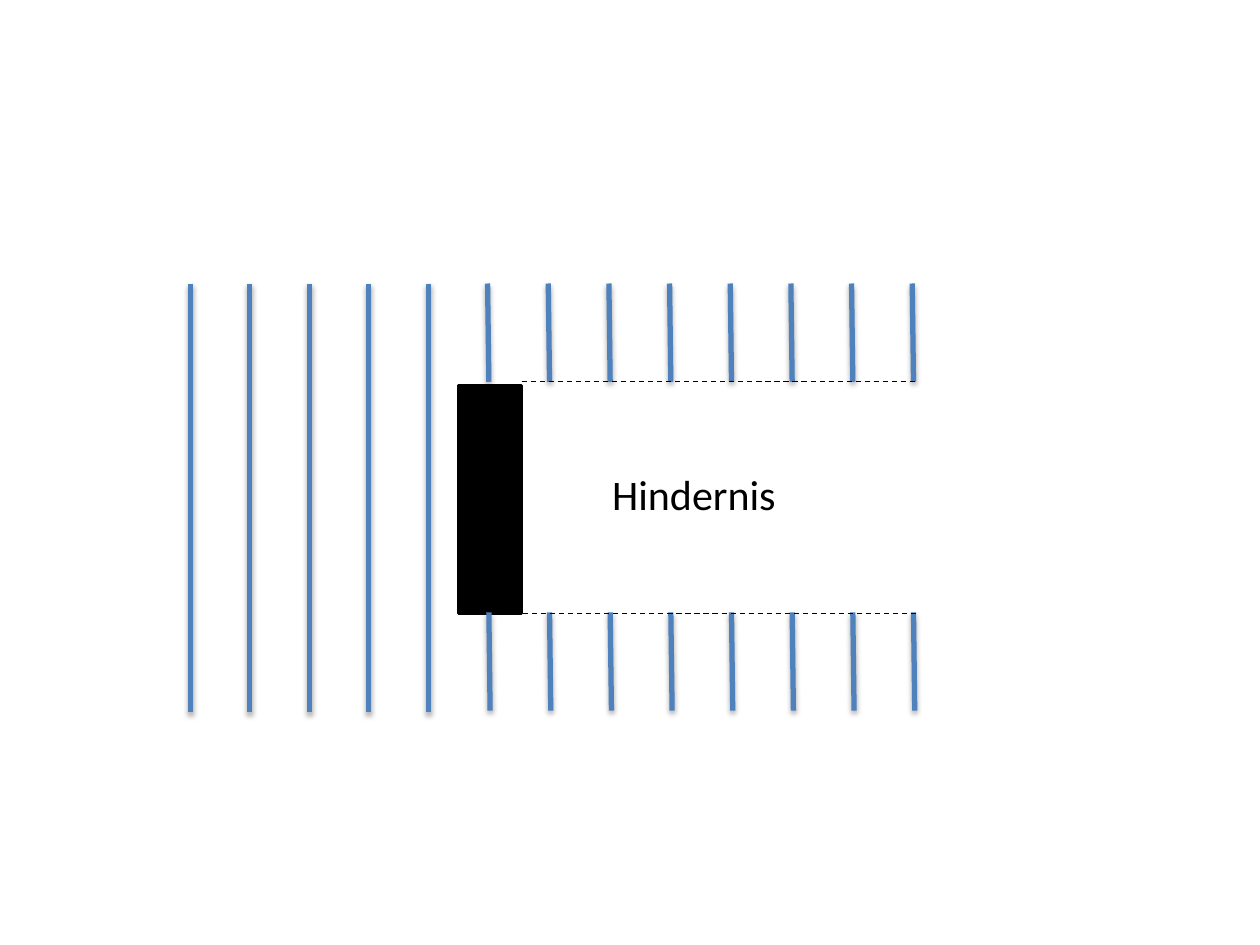
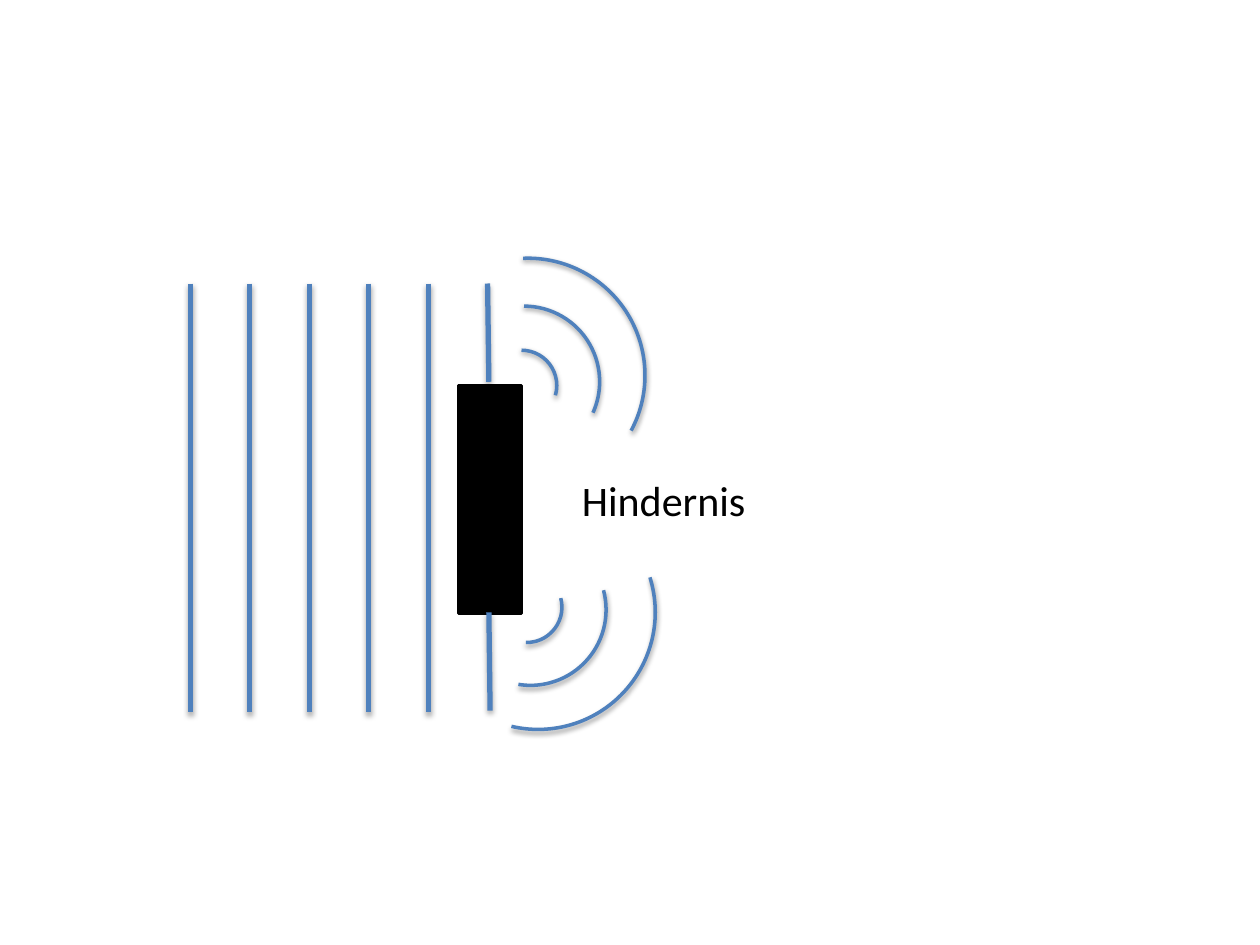
from dataclasses import dataclass

from lxml import etree
from pptx import Presentation
from pptx.dml.color import RGBColor
from pptx.enum.dml import MSO_LINE
from pptx.enum.shapes import MSO_CONNECTOR, MSO_SHAPE
from pptx.enum.text import MSO_AUTO_SIZE
from pptx.oxml.ns import qn
from pptx.shapes.autoshape import Shape
from pptx.shapes.connector import Connector
from pptx.slide import Slide
from pptx.util import Inches, Pt

STRAIGHT = MSO_CONNECTOR.STRAIGHT
RECTANGLE = MSO_SHAPE.RECTANGLE
ARC = MSO_SHAPE.ARC
DASH = MSO_LINE.DASH
FIT_SHAPE = MSO_AUTO_SIZE.SHAPE_TO_FIT_TEXT

COLORS = {"wave": "4F81BD", "obstacle": "000000", "shadow": "000000", "text": "000000"}
FONT = "Calibri"

WAVE_TOP = 2.25
WAVE_BOTTOM = 5.65
FULL_WAVE_COUNT = 5
FULL_WAVE_LEFT = 1.51
FULL_WAVE_STEP = (3.40 - FULL_WAVE_LEFT) / (FULL_WAVE_COUNT - 1)

CUT_WAVE_COUNT = 8
CUT_WAVE_STEP = (7.24 - 3.87) / (CUT_WAVE_COUNT - 1)
CUT_WAVE_HEIGHT = 0.78
CUT_WAVE_SLANT = 0.01


@dataclass(frozen=True)
class Segment:
    x1: float
    y1: float
    x2: float
    y2: float


@dataclass(frozen=True)
class WaveArc:
    left: float
    top: float
    size: float
    start: float
    end: float


CUT_WAVE_STARTS = [(3.87, WAVE_TOP), (3.88, 4.86)]
SHADOW_EDGES = [Segment(4.14, 3.03, 7.26, 3.03), Segment(4.15, 4.87, 7.27, 4.87)]

UPPER_ARCS = [
    WaveArc(3.86, 2.78, 0.56, 162, 9.71),
    WaveArc(3.56, 2.43, 1.20, 162, 14.53),
    WaveArc(3.26, 2.05, 1.86, 160.61, 16.88),
]
LOWER_ARCS = [
    WaveArc(3.90, 4.54, 0.56, 162, 9.71),
    WaveArc(3.61, 4.24, 1.20, 162, 14.53),
    WaveArc(3.34, 3.93, 1.86, 160.61, 16.88),
]


def color(name: str) -> RGBColor:
    return RGBColor.from_string(COLORS[name])


def add_effects(shape: Shape | Connector) -> etree._Element:
    return etree.SubElement(shape._element.spPr, qn("a:effectLst"))


def add_shadow(shape: Shape | Connector, distance: float, opacity: int) -> None:
    shadow = etree.SubElement(
        add_effects(shape),
        qn("a:outerShdw"),
        blurRad=str(Pt(3.1)),
        dist=str(Pt(distance)),
        dir=str(90 * 60000),
        rotWithShape="0",
    )
    tint = etree.SubElement(shadow, qn("a:srgbClr"), val=COLORS["shadow"])
    etree.SubElement(tint, qn("a:alpha"), val=str(opacity * 1000))


def draw_line(page: Slide, segment: Segment, name: str, width: float) -> Connector:
    line = page.shapes.add_connector(
        STRAIGHT,
        Inches(segment.x1),
        Inches(segment.y1),
        Inches(segment.x2),
        Inches(segment.y2),
    )
    line.line.color.rgb = color(name)
    line.line.width = Pt(width)
    return line


def draw_wave(page: Slide, segment: Segment) -> None:
    add_shadow(draw_line(page, segment, "wave", 3), 1.8, 35)


def draw_shadow_edge(page: Slide, segment: Segment) -> None:
    edge = draw_line(page, segment, "obstacle", 0.75)
    edge.line.dash_style = DASH
    add_effects(edge)


def draw_full_waves(page: Slide) -> None:
    for index in range(FULL_WAVE_COUNT):
        x = FULL_WAVE_LEFT + index * FULL_WAVE_STEP
        draw_wave(page, Segment(x, WAVE_TOP, x, WAVE_BOTTOM))


def draw_cut_waves(page: Slide, count: int) -> None:
    for left, top in CUT_WAVE_STARTS:
        for index in range(count):
            x = left + index * CUT_WAVE_STEP
            draw_wave(page, Segment(x, top, x + CUT_WAVE_SLANT, top + CUT_WAVE_HEIGHT))


def draw_obstacle(page: Slide) -> None:
    obstacle = page.shapes.add_shape(
        RECTANGLE, Inches(3.64), Inches(3.06), Inches(0.5), Inches(1.81)
    )
    obstacle.shadow.inherit = False
    obstacle.fill.solid()
    obstacle.fill.fore_color.rgb = color("obstacle")
    obstacle.line.color.rgb = color("obstacle")
    obstacle.line.width = Pt(2)


def draw_label(page: Slide, left: float, top: float) -> None:
    box = page.shapes.add_textbox(Inches(left), Inches(top), Inches(1.51), Inches(0.5))
    frame = box.text_frame
    frame.word_wrap = False
    frame.auto_size = FIT_SHAPE
    frame.text = "Hindernis"
    span = frame.paragraphs[0].runs[0]
    span.font.name = FONT
    span.font.size = Pt(24)
    span.font.color.rgb = color("text")


def draw_arcs(page: Slide, arcs: list[WaveArc], rotation: float = 0) -> None:
    group = page.shapes.add_group_shape()
    for wave in arcs:
        arc = group.shapes.add_shape(
            ARC, Inches(wave.left), Inches(wave.top), Inches(wave.size), Inches(wave.size)
        )
        arc.adjustments[0] = wave.start
        arc.adjustments[1] = wave.end
        arc.rotation = rotation
        arc.fill.background()
        arc.line.color.rgb = color("wave")
        arc.line.width = Pt(2)
        add_shadow(arc, 1.6, 38)


def draw_scene(page: Slide, cut_wave_count: int) -> None:
    draw_full_waves(page)
    draw_obstacle(page)
    draw_cut_waves(page, cut_wave_count)


def main() -> None:
    deck = Presentation()
    deck.slide_width = Inches(10)
    deck.slide_height = Inches(7.5)
    blank = deck.slide_layouts[6]

    straight_page = deck.slides.add_slide(blank)
    draw_scene(straight_page, CUT_WAVE_COUNT)
    draw_label(straight_page, 4.76, 3.67)
    for edge in SHADOW_EDGES:
        draw_shadow_edge(straight_page, edge)

    diffraction_page = deck.slides.add_slide(blank)
    draw_scene(diffraction_page, 1)
    draw_label(diffraction_page, 4.52, 3.72)
    draw_arcs(diffraction_page, UPPER_ARCS)
    draw_arcs(diffraction_page, LOWER_ARCS, 75)

    deck.save("out.pptx")


if __name__ == "__main__":
    main()
